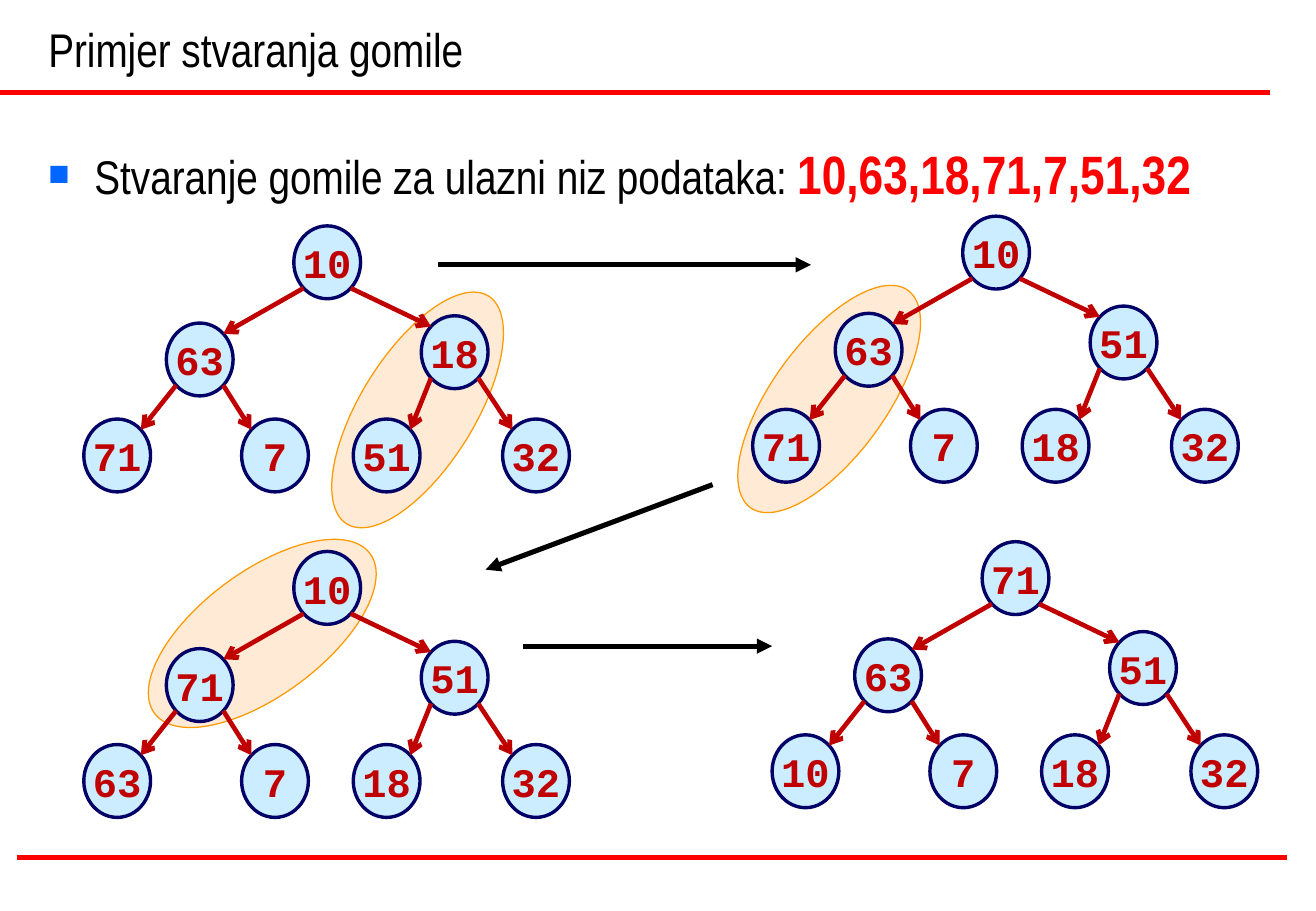
from lxml import etree
from pptx import Presentation, util as u
from pptx.dml import color
from pptx.enum import shapes, text
from pptx.oxml import ns

WIDE, HIGH = 10.84, 7.5
NODE_W, NODE_H = 0.55, 0.6
DIAG = 0.5 ** 0.5 / 2  # share of a node's size from centre to its diagonal point


def paint(part, code):
    """Give a fill, a line or a font its colour."""
    if hasattr(part, "solid"):
        part.solid()
        part.fore_color.rgb = color.RGBColor.from_string(code)
    else:
        part.color.rgb = color.RGBColor.from_string(code)


def link(where, ends, code, width, head=None):
    """Draw a straight line, with an arrowhead if one is named."""
    line = where.add_connector(shapes.MSO_CONNECTOR.STRAIGHT, *[u.Inches(v) for v in ends])
    paint(line.line, code)
    line.line.width = u.Pt(width)
    if head:
        etree.SubElement(line.line._get_or_add_ln(), ns.qn("a:tailEnd"), type=head)
    etree.SubElement(line._element.spPr, ns.qn("a:effectLst"))


deck = Presentation()
deck.slide_width, deck.slide_height = u.Inches(WIDE), u.Inches(HIGH)
slide = deck.slides.add_slide(deck.slide_layouts[6])
board = slide.shapes

# Red rules above and below
for left, top in [(0, 0.76), (0.14, 7.06)]:
    link(board, (left, top, left + 10.46, top), "FF0000", 3)

# Title and bullet
plain = {"name": "Arial Narrow", "size": u.Pt(28), "bold": False}
strong = {"name": "Arial Narrow", "size": u.Pt(32), "bold": True}
words = [
    ((0.3, 0, 10.16, 0.68), text.MSO_ANCHOR.BOTTOM, False,
     [("Primjer stvaranja gomile", plain, "000000")]),
    ((0.3, 1.11, 10.24, 0.65), text.MSO_ANCHOR.TOP, True,
     [("Stvaranje gomile za ulazni niz podataka: ", plain, "000000"),
      ("10,63,18,71,7,51,32", strong, "FF0000")]),
]
for spot, anchor, dot, runs in words:
    frame = board.add_textbox(*[u.Inches(v) for v in spot]).text_frame
    frame.word_wrap, frame.vertical_anchor = True, anchor
    para = frame.paragraphs[0]
    if dot:
        props = para._p.get_or_add_pPr()
        props.set("marL", str(u.Inches(0.38)))
        props.set("indent", str(u.Inches(-0.38)))
        tint = etree.SubElement(props, ns.qn("a:buClr"))
        etree.SubElement(tint, ns.qn("a:srgbClr"), val="0066FF")
        etree.SubElement(props, ns.qn("a:buSzPct"), val="75000")
        etree.SubElement(props, ns.qn("a:buFont"), typeface="Arial")
        etree.SubElement(props, ns.qn("a:buChar"), char="■")
    for words_in, style, code in runs:
        run = para.add_run()
        run.text = words_in
        for key, value in style.items():
            setattr(run.font, key, value)
        paint(run.font, code)

# Tilted ovals around the pair to swap
for left, top, width, turn in [(1.65, 4.11, 1.02, 53.5), (6.36, 2.18, 0.94, 36),
                               (2.97, 2.27, 0.94, 31.9)]:
    oval = board.add_shape(shapes.MSO_SHAPE.OVAL,
                           *[u.Inches(v) for v in (left, top, width, 2.21)])
    oval.rotation, oval.shadow.inherit = turn, False
    paint(oval.fill, "FFCC99")
    shade = oval._element.spPr.find(".//" + ns.qn("a:srgbClr"))
    etree.SubElement(shade, ns.qn("a:alpha"), val="40000")
    paint(oval.line, "FF9900")
    oval.line.width = u.Pt(0.75)

# Black arrows from step to step
for ends in [(3.61, 2.18, 6.68, 2.18), (4.31, 5.32, 6.36, 5.32), (5.87, 3.99, 4, 4.69)]:
    link(board, ends, "000000", 3, "triangle")

# Trees: node places from a tree's corner, level by level
places = [(1.73, 0), (0.68, 0.8), (2.78, 0.74),
          (0, 1.59), (1.3, 1.59), (2.22, 1.59), (3.45, 1.59)]
trees = [
    (0.69, 1.86, [10, 63, 18, 71, 7, 51, 32]),
    (6.2, 1.78, [10, 63, 51, 71, 7, 18, 32]),
    (0.69, 4.54, [10, 71, 51, 63, 7, 18, 32]),
    (6.36, 4.46, [71, 63, 51, 10, 7, 18, 32]),
]
digits = {"name": "Courier New", "size": u.Pt(24), "bold": True}
for left, top, heap in trees:
    tree = board.add_group_shape().shapes
    for (x, y), key in zip(places, heap):
        node = tree.add_shape(shapes.MSO_SHAPE.OVAL, u.Inches(left + x), u.Inches(top + y),
                              u.Inches(NODE_W), u.Inches(NODE_H))
        node.shadow.inherit = False
        paint(node.fill, "CCECFF")
        paint(node.line, "000066")
        node.line.width = u.Pt(2)
        frame = node.text_frame
        frame.word_wrap, frame.vertical_anchor = False, text.MSO_ANCHOR.MIDDLE
        para = frame.paragraphs[0]
        para.alignment = text.PP_ALIGN.CENTER
        run = para.add_run()
        run.text = str(key)
        for name, value in digits.items():
            setattr(run.font, name, value)
        paint(run.font, "C00000")

    # Each child hangs from node (child - 1) // 2, odd ones on the left
    for child in range(1, len(places)):
        side = -1 if child % 2 else 1
        (px, py), (cx, cy) = places[(child - 1) // 2], places[child]
        midx, midy = left + NODE_W / 2, top + NODE_H / 2
        dx, dy = side * DIAG * NODE_W, DIAG * NODE_H
        link(tree, (midx + px + dx, midy + py + dy, midx + cx - dx, midy + cy - dy),
             "C00000", 2.75, "arrow")

deck.save("out.pptx")
